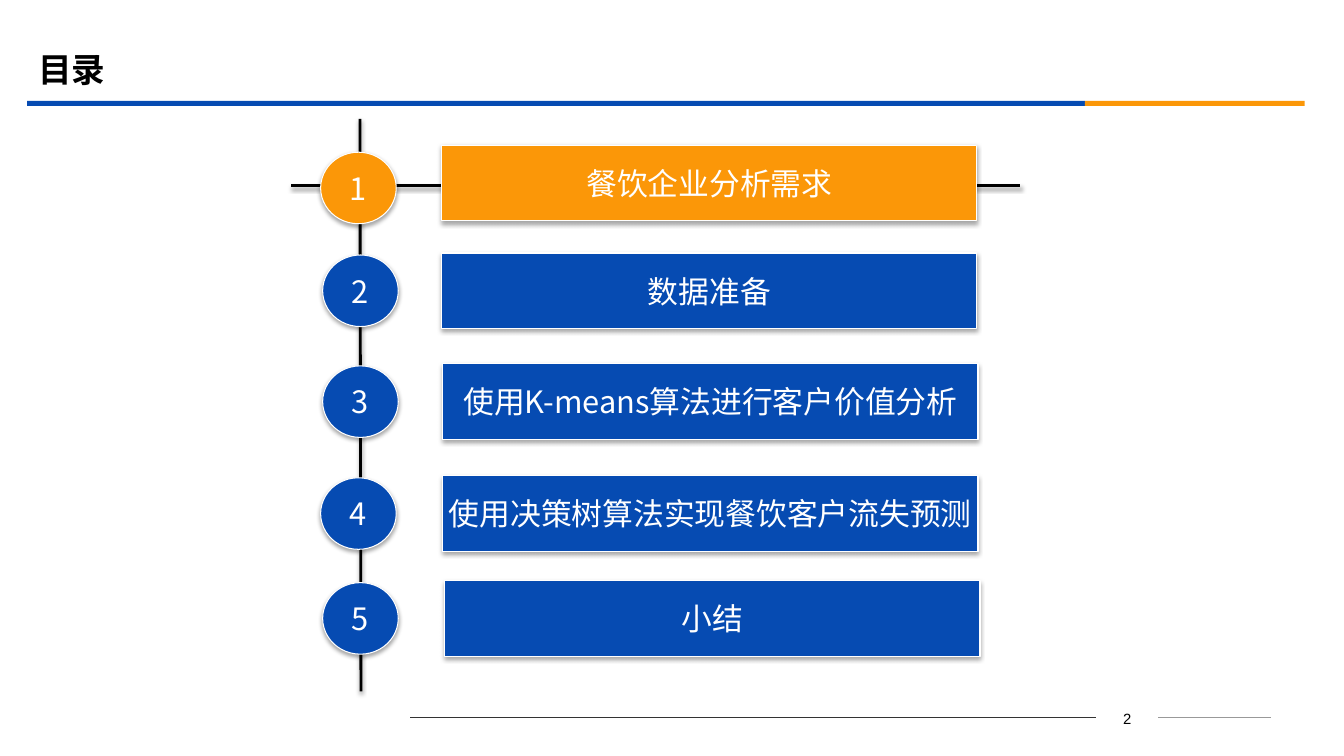
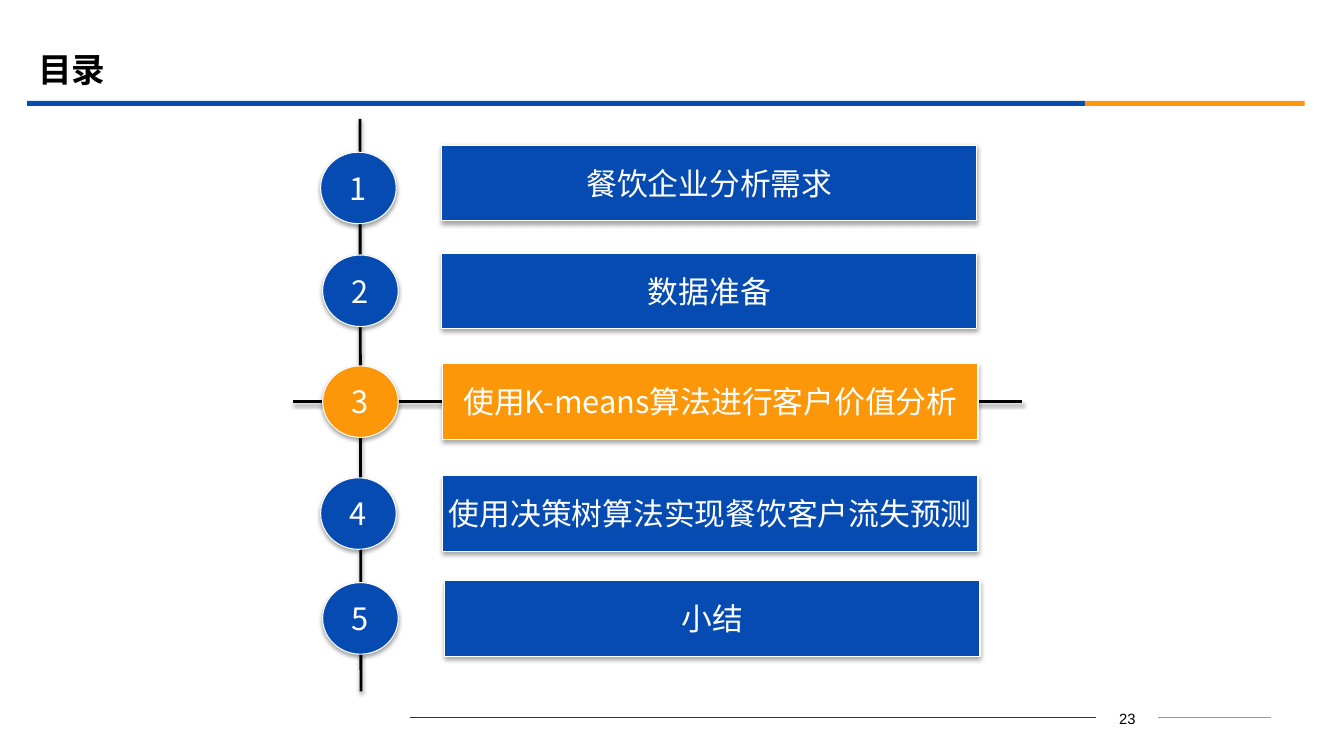
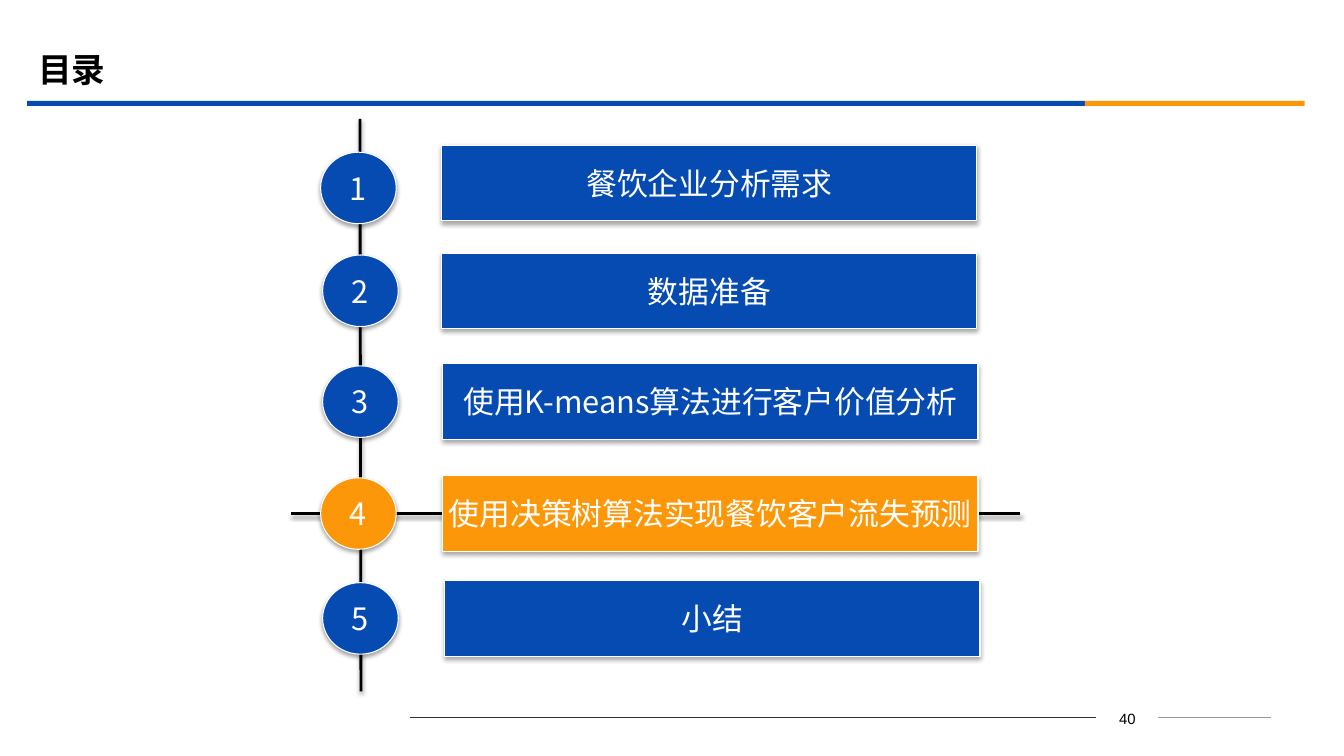
from lxml import etree
from pptx import Presentation
from pptx.dml.color import RGBColor
from pptx.enum.shapes import MSO_CONNECTOR, MSO_SHAPE
from pptx.enum.text import MSO_ANCHOR, PP_ALIGN
from pptx.oxml.ns import qn
from pptx.util import Inches, Pt

# Content: (topic, bar left, bar top, circle left, circle top)
TITLE = "目录"
TOPICS = [
    ("餐饮企业分析需求", 4.38, 1.44, 3.18, 1.51),
    ("数据准备", 4.38, 2.51, 3.2, 2.53),
    ("使用K-means算法进行客户价值分析", 4.39, 3.61, 3.2, 3.63),
    ("使用决策树算法实现餐饮客户流失预测", 4.39, 4.72, 3.18, 4.74),
    ("小结", 4.41, 5.76, 3.2, 5.78),
]
AGENDAS = [(2, 1), (23, 3), (40, 4)]  # page number, current topic

# Shared style
COLORS = {"blue": "064BB2", "orange": "FB9708", "black": "000000",
          "white": "FFFFFF", "footer": "333333", "footer_end": "999999"}
CJK, LATIN = "Noto Sans CJK SC", "Arial"
TITLE_FONT = {"name": CJK, "size": Pt(24), "bold": True}
TOPIC_FONT = {"name": CJK, "size": Pt(22)}
PAGE_FONT = {"name": LATIN, "size": Pt(10.6)}
BAR_SIZE, CIRCLE_SIZE = (5.31, 0.75), (0.75, 0.71)
CROSSBAR_OVERHANG, CROSSBAR_WIDTH = 0.29, 7.23
BANDS = [(0.27, 10.49, "blue"), (10.76, 2.18, "orange")]
FOOTER_LINES = [(11.49, 12.61, "footer_end"), (4.07, 10.87, "footer")]
SHAPE_SHADOW = {"opacity": 35, "blur": 3.1, "distance": 1.8}
LINE_SHADOW = {"opacity": 38, "blur": 3.1, "distance": 1.6}


def rgb(color):
    return RGBColor.from_string(COLORS[color])


def add_shadow(effects, opacity, blur, distance):
    outer = etree.SubElement(effects, qn("a:outerShdw"), {
        "blurRad": str(int(Pt(blur))), "dist": str(int(Pt(distance))),
        "dir": "5400000", "rotWithShape": "0"})
    black = etree.SubElement(outer, qn("a:srgbClr"), val=COLORS["black"])
    etree.SubElement(black, qn("a:alpha"), val=str(opacity * 1000))


def write(shape, text, font, color, align, anchor, wrap):
    frame = shape.text_frame
    frame.word_wrap, frame.vertical_anchor = wrap, anchor
    paragraph = frame.paragraphs[0]
    paragraph.alignment = align
    run = paragraph.add_run()
    run.text = text
    for attribute, value in font.items():
        setattr(run.font, attribute, value)
    run.font.color.rgb = rgb(color)
    etree.SubElement(run.font._element, qn("a:ea"), typeface=font["name"])


def add_text(slide, box, text, font, align, anchor):
    label = slide.shapes.add_textbox(*map(Inches, box))
    write(label, text, font, "black", align, anchor, True)


def add_line(slide, ends, color, width, shadow=None):
    line = slide.shapes.add_connector(MSO_CONNECTOR.STRAIGHT, *map(Inches, ends))
    line.line.color.rgb = rgb(color)
    line.line.width = Pt(width)
    effects = etree.SubElement(line._element.spPr, qn("a:effectLst"))
    if shadow:
        add_shadow(effects, **shadow)


def add_block(slide, kind, box, color):
    block = slide.shapes.add_shape(kind, *map(Inches, box))
    block.shadow.inherit = False
    block.fill.solid()
    block.fill.fore_color.rgb = rgb(color)
    block.line.fill.background()
    return block


def add_topic_block(slide, kind, box, color, text):
    block = add_block(slide, kind, box, color)
    block.line.color.rgb = rgb("white")
    block.line.width = Pt(0.75)
    add_shadow(block._element.spPr.find(qn("a:effectLst")), **SHAPE_SHADOW)
    write(block, text, TOPIC_FONT, "white", PP_ALIGN.CENTER, MSO_ANCHOR.MIDDLE, False)


def add_frame(slide, page):
    add_text(slide, (10.87, 6.99, 0.62, 0.25), str(page), PAGE_FONT,
             PP_ALIGN.CENTER, MSO_ANCHOR.TOP)
    for start, end, color in FOOTER_LINES:
        add_line(slide, (start, 7.12, end, 7.12), color, 0.75)
    for left, width, color in BANDS:
        add_block(slide, MSO_SHAPE.RECTANGLE, (left, 1, width, 0.05), color)
    add_text(slide, (0.28, 0.39, 12, 0.58), TITLE, TITLE_FONT,
             PP_ALIGN.LEFT, MSO_ANCHOR.MIDDLE)


def add_agenda(slide, current):
    # Spine, and crossbar through the current topic
    add_line(slide, (3.57, 1.18, 3.58, 6.86), "black", 2, LINE_SHADOW)
    _, _, bar_top, circle_left, circle_top = TOPICS[current - 1]
    middle = (bar_top + BAR_SIZE[1] / 2 + circle_top + CIRCLE_SIZE[1] / 2) / 2
    start = circle_left - CROSSBAR_OVERHANG
    add_line(slide, (start, middle, start + CROSSBAR_WIDTH, middle),
             "black", 2, LINE_SHADOW)

    # Numbered topics
    for number, (topic, bar_left, bar_top, circle_left, circle_top) in enumerate(TOPICS, 1):
        color = "orange" if number == current else "blue"
        add_topic_block(slide, MSO_SHAPE.ACTION_BUTTON_CUSTOM,
                        (bar_left, bar_top, *BAR_SIZE), color, topic)
        add_topic_block(slide, MSO_SHAPE.OVAL,
                        (circle_left, circle_top, *CIRCLE_SIZE), color, str(number))


def main():
    deck = Presentation()
    deck.slide_width, deck.slide_height = Inches(13.33), Inches(7.5)
    for page, current in AGENDAS:
        slide = deck.slides.add_slide(deck.slide_layouts[6])
        add_frame(slide, page)
        add_agenda(slide, current)
    deck.save("out.pptx")


if __name__ == "__main__":
    main()
